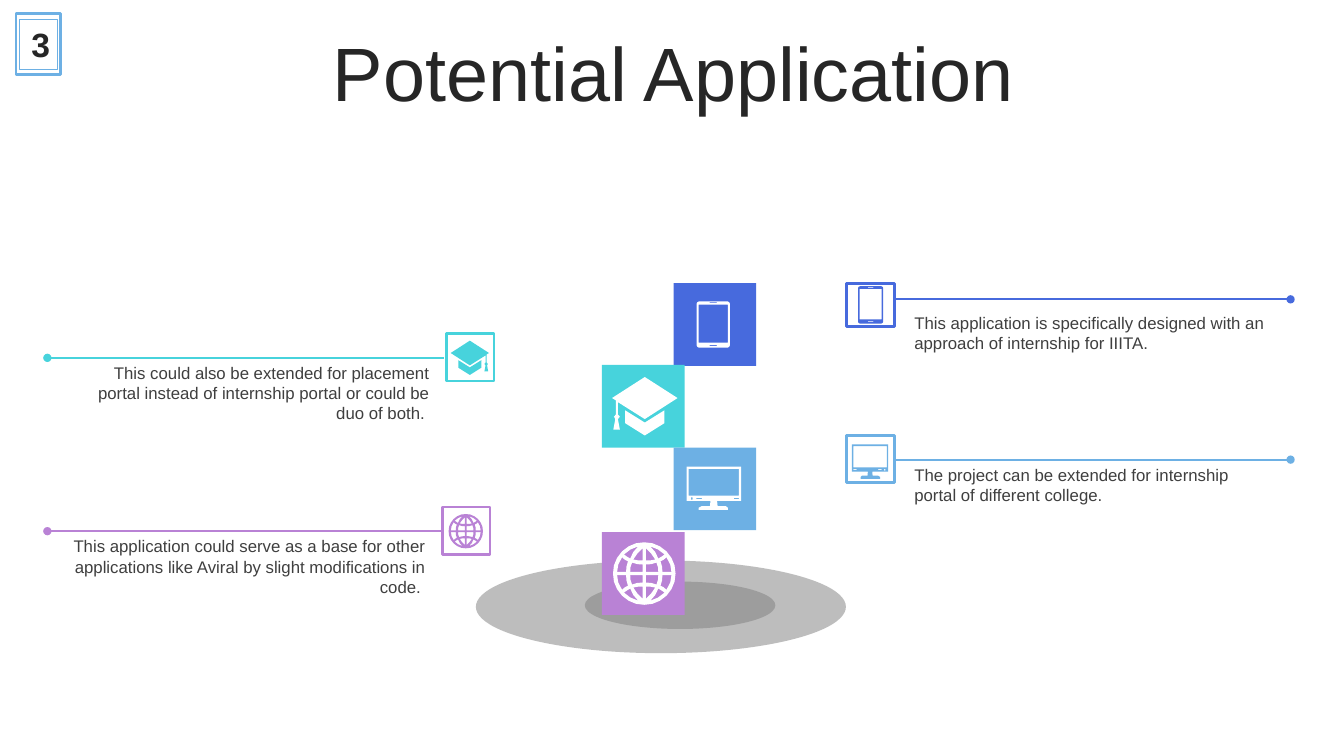
import itertools

import lxml.etree
import pptx
import pptx.dml.color
import pptx.enum.shapes
import pptx.enum.text
import pptx.oxml.ns
import pptx.util

Inches = pptx.util.Inches
Pt = pptx.util.Pt
qn = pptx.oxml.ns.qn
KIND = pptx.enum.shapes.MSO_SHAPE
ALIGN = pptx.enum.text.PP_ALIGN
FIT = pptx.enum.text.MSO_AUTO_SIZE
ANCHOR = pptx.enum.text.MSO_ANCHOR

HUES = {"blue": "476ADD", "teal": "47D3DC", "sky": "6DB0E4", "plum": "B982D5",
        "grey": "7F7F7F", "white": "FFFFFF", "ink": "262626", "text": "3F3F3F"}


def hue(name):
    return pptx.dml.color.RGBColor.from_string(HUES[name])


def put(thing, values):
    for name, value in values.items():
        setattr(thing, name, value)


def write(shape, words, size, color, align, bold=False, side=0.1, fit=FIT.NONE,
          anchor=ANCHOR.TOP, space=None):
    frame = shape.text_frame
    put(frame, {"word_wrap": True, "auto_size": fit, "vertical_anchor": anchor,
                "margin_left": Inches(side), "margin_right": Inches(side),
                "margin_top": Inches(0.05), "margin_bottom": Inches(0.05)})
    line = frame.paragraphs[0]
    put(line, {"text": words, "alignment": align, "line_spacing": space})
    put(line.runs[0].font, {"name": "Arial", "size": Pt(size), "bold": bold})
    line.runs[0].font.color.rgb = hue(color)


def block(slide, kind, box, fill=None, edge=None, width=2):
    shape = slide.shapes.add_shape(kind, *map(Inches, box))
    shape.shadow.inherit = False
    if fill:
        shape.fill.solid()
        shape.fill.fore_color.rgb = hue(fill)
    else:
        shape.fill.background()
    if edge:
        shape.line.color.rgb = hue(edge)
        shape.line.width = Pt(width)
    else:
        shape.line.fill.background()
    return shape


# Icon outlines, in fractions of the icon's box
def rect(x1, y1, x2, y2):
    return [(x1, y1), (x2, y1), (x2, y2), (x1, y2)]


def globe():
    ring = [(1, 0), (.97, .26), (.87, .5), (.71, .71), (.5, .87), (.26, .97)]
    cells = [
        [(.05, .05), (.45, .05), (.44, .2), (.39, .35), (.22, .3), (.05, .29)],
        [(.58, .05), (.87, .05), (.83, .29), (.71, .52), (.62, .44), (.52, .39),
         (.57, .22)],
        [(.05, .42), (.2, .42), (.35, .45), (.22, .64), (.05, .81)],
        [(.45, .48), (.55, .54), (.65, .61), (.44, .77), (.19, .87), (.35, .69)]]
    rim = []
    for turn in range(4):
        rim += ring
        ring = [(-y, x) for x, y in ring]
    loops = [rim]
    for cell, h, v in itertools.product(cells, (1, -1), (1, -1)):
        loops.append([(x * h, y * v) for x, y in cell])
    return [[((1 + x) / 2, (1 + y) / 2) for x, y in loop] for loop in loops]


ICONS = {
    "tablet": [
        [(.07, 0), (.93, 0), (.98, .02), (1, .05), (1, .95), (.98, .98), (.93, 1),
         (.07, 1), (.02, .98), (0, .95), (0, .05), (.02, .02)],
        rect(.06, .07, .94, .89), rect(.39, .02, .61, .04),
        rect(.39, .94, .61, .96)],
    "cap": [
        [(.5, 0), (1, .36), (.5, .72), (.09, .43), (.09, .64), (.12, .68),
         (.09, .72), (.12, .9), (.02, .9), (.05, .72), (.03, .68), (.06, .64),
         (.06, .4), (0, .36)],
        [(.2, .57), (.5, .78), (.8, .57), (.8, .79), (.5, 1), (.2, .79)]],
    "screen": [
        [(0, 0), (1, 0), (1, .79), (.56, .79), (.57, .91), (.72, .91), (.76, .95),
         (.76, 1), (.22, 1), (.22, .95), (.28, .91), (.43, .91), (.44, .79),
         (0, .79)],
        rect(.04, .05, .96, .67), rect(.18, .72, .28, .75),
        rect(.87, .72, .96, .75), rect(.08, .71, .11, .76)],
    "globe": globe()}


def icon(slide, name, box, color, flip=False):
    left, top, width, height = box
    loops = [[(Inches(left + width * (1 - x if flip else x)),
               Inches(top + height * y)) for x, y in loop] for loop in ICONS[name]]
    pen = slide.shapes.build_freeform(*loops[0][0])
    for loop in loops:
        if loop is not loops[0]:
            pen.move_to(*loop[0])
        pen.add_line_segments(loop[1:], close=True)
    shape = pen.convert_to_shape()
    shape.shadow.inherit = False
    shape.fill.solid()
    shape.fill.fore_color.rgb = hue(color)
    shape.line.fill.background()


def title(slide, box):
    shape = slide.shapes.title
    put(shape, dict(zip(("left", "top", "width", "height"), map(Inches, box))))
    write(shape, "Potential Application", 54, "ink", ALIGN.CENTER,
          anchor=ANCHOR.MIDDLE, space=0.9)


def badge(slide, box):
    left, top, width, height = box
    block(slide, KIND.RECTANGLE, box, "white", "sky")
    inner = block(slide, KIND.RECTANGLE,
                  (left + 0.03, top + 0.06, width - 0.06, height - 0.11),
                  edge="sky", width=0.75)
    write(inner, "3", 24, "ink", ALIGN.CENTER, bold=True, side=0.12,
          anchor=ANCHOR.MIDDLE)


# Stacked tiles on a round base
def tower(slide, box):
    left, top, width, height = box
    for x, y, w, h in ((0, 2.75, width, 0.92), (1.08, 2.96, 1.89, 0.47)):
        disc = block(slide, KIND.OVAL, (left + x, top + y, w, h), "grey")
        tint = disc.element.spPr.find(".//" + qn("a:srgbClr"))
        lxml.etree.SubElement(tint, qn("a:alpha"), val="51000")
    tiles = [("tablet", "blue", 1.96, 0, (0.23, 0.18, 0.33, 0.46)),
             ("cap", "teal", 1.25, 0.81, (0.1, 0.12, 0.65, 0.58)),
             ("screen", "sky", 1.96, 1.63, (0.13, 0.19, 0.54, 0.43)),
             ("globe", "plum", 1.25, 2.47, (0.11, 0.1, 0.62, 0.62))]
    for name, color, x, y, (dx, dy, w, h) in tiles:
        x, y = left + x, top + y
        block(slide, KIND.RECTANGLE, (x, y, 0.82, 0.82), color)
        icon(slide, name, (x + dx, y + dy, w, h), "white")


# Framed icon, rule with a dot at its far end, and a text below
def note(slide, box, name, color, words, mark, rule, left_side):
    left, top, width, height = box
    block(slide, KIND.RECTANGLE, box, edge=color)
    dx, dy, w, h = mark
    icon(slide, name, (left + dx, top + dy, w, h), color, flip=True)
    near, far = (4.4, 0.47) if left_side else (left + width, 12.8)
    line = slide.shapes.add_connector(
        pptx.enum.shapes.MSO_CONNECTOR.STRAIGHT, Inches(near), Inches(top + rule),
        Inches(far), Inches(top + rule))
    line.line.color.rgb = hue(color)
    line.line.width = Pt(1.5)
    props = line.element.spPr
    lxml.etree.SubElement(props.find(qn("a:ln")), qn("a:tailEnd"), type="oval")
    lxml.etree.SubElement(props, qn("a:effectLst"))
    x = left - 3.77 if left_side else left + 0.57
    area = slide.shapes.add_textbox(
        Inches(x), Inches(top + 0.24), Inches(3.7),
        Inches(0.71 if left_side else 0.5))
    write(area, words, 12, "text", ALIGN.RIGHT if left_side else ALIGN.LEFT,
          fit=FIT.SHAPE_TO_FIT_TEXT)


NOTES = [
    ((8.4, 2.81, 0.47, 0.43), "tablet", "blue",
     "This application is specifically designed with an approach of internship "
     "for IIITA.", (0.11, 0.03, 0.25, 0.37), 0.16, False),
    ((4.43, 3.31, 0.47, 0.47), "cap", "teal",
     "This could also be extended for placement portal instead of internship "
     "portal or could be duo of both. ", (0.04, 0.07, 0.38, 0.34), 0.24, True),
    ((8.4, 4.32, 0.47, 0.47), "screen", "sky",
     "The project can be extended for internship portal of different college.",
     (0.05, 0.09, 0.36, 0.34), 0.24, False),
    ((4.39, 5.03, 0.47, 0.47), "globe", "plum",
     "This application could serve as a base for other applications like Aviral "
     "by slight modifications in code. ", (0.06, 0.07, 0.34, 0.34), 0.24, True)]


def main():
    deck = pptx.Presentation()
    put(deck, {"slide_width": Inches(13.33), "slide_height": Inches(7.5)})
    slide = deck.slides.add_slide(deck.slide_layouts[5])
    title(slide, (0.35, 0.37, 12.66, 0.79))
    tower(slide, (4.72, 2.81, 3.67, 3.67))
    for parts in NOTES:
        note(slide, *parts)
    badge(slide, (0.16, 0.13, 0.44, 0.61))
    deck.save("out.pptx")


if __name__ == "__main__":
    main()
